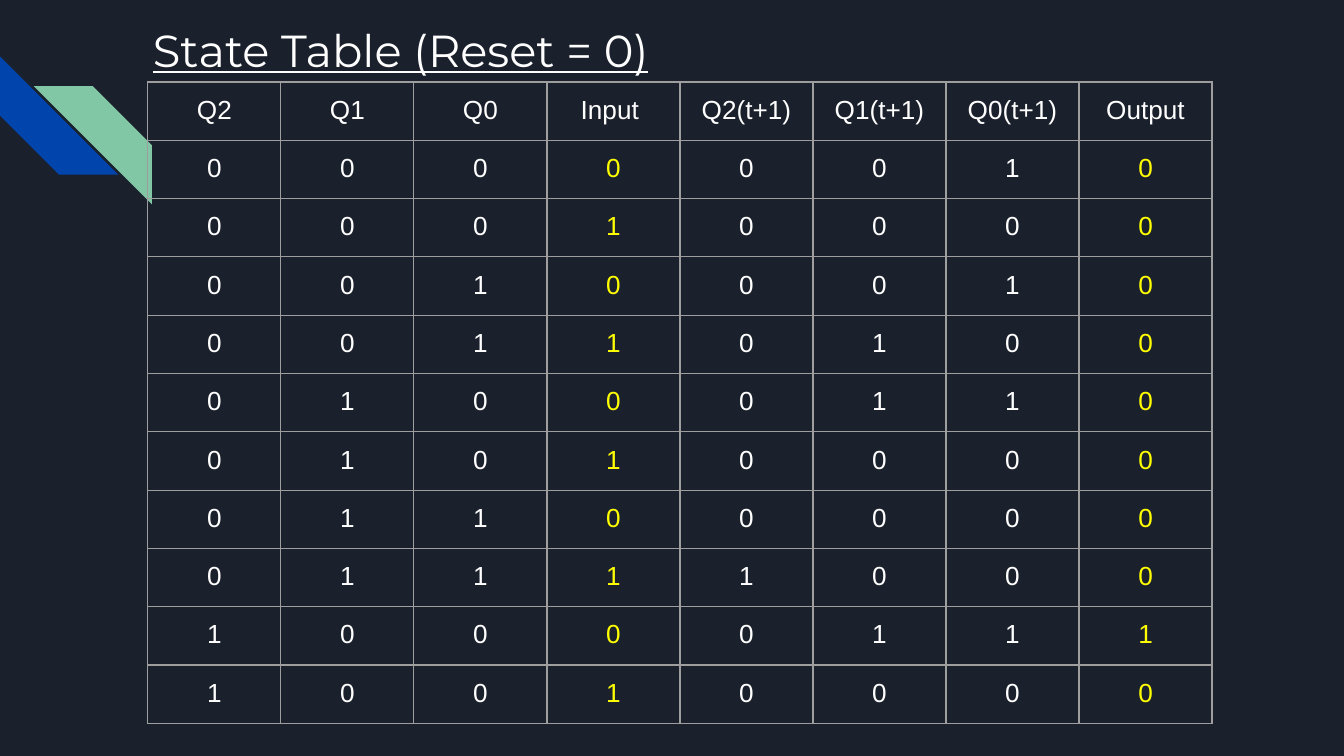
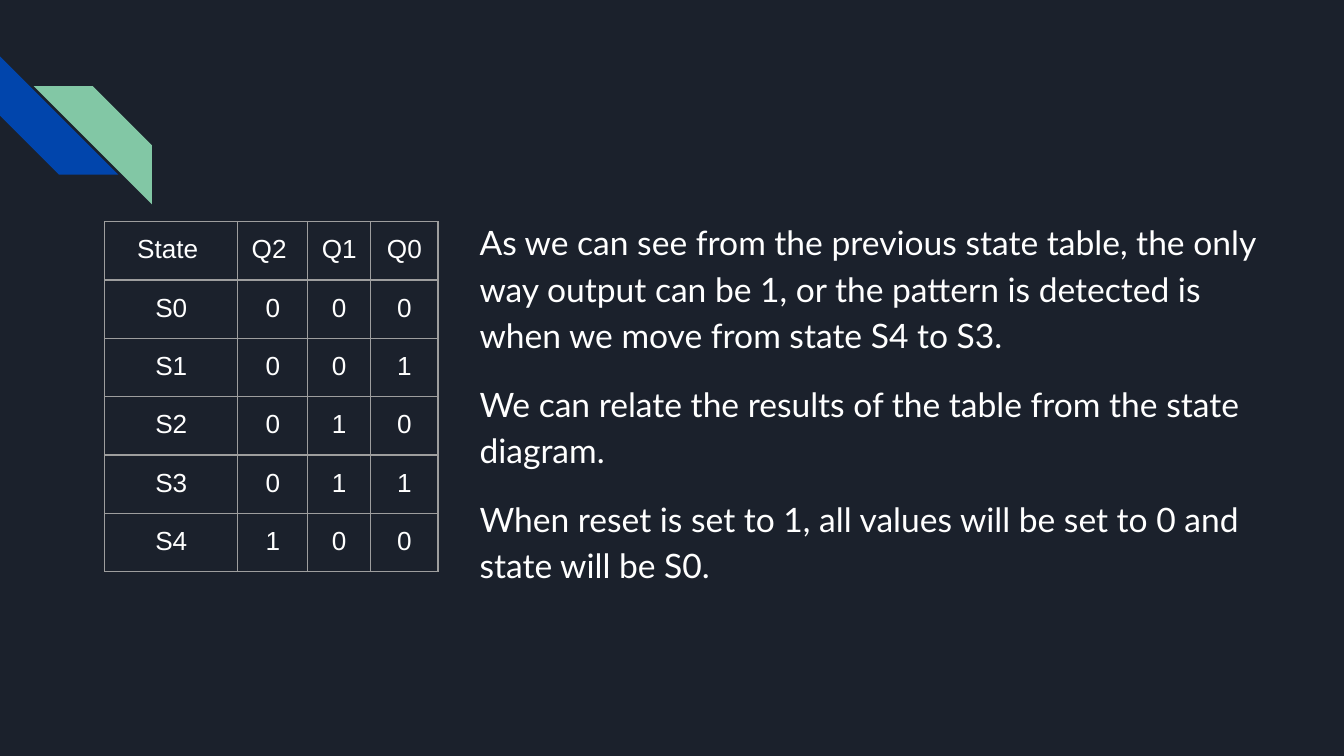
import pptx
import pptx.dml.color
import pptx.enum.shapes
import pptx.enum.text
import pptx.oxml
import pptx.oxml.ns
import pptx.util

COLOURS = {
    "background": "1B212C",
    "blue": "0145AC",
    "green": "82C7A5",
    "text": "FFFFFF",
    "highlight": "FFFF00",
    "border": "9E9E9E",
}
# Square grid: the slide is 100 columns wide and 56.25 rows high.
COLUMNS, ROWS = 100, 56.25
UNIT = pptx.util.Inches(10) / COLUMNS
INSET = 1
ROW_HEIGHT = 4.17
FRAME_ROW_HEIGHT = 4.33
BLANK_LAYOUT = 6

STATE_HEADER = ["Q2", "Q1", "Q0", "Input ", "Q2(t+1)", "Q1(t+1)", "Q0(t+1)", "Output"]
TRANSITIONS = [
    "00000010", "00010000", "00100010", "00110100", "01000110",
    "01010000", "01100000", "01111000", "10000111", "10010000",
]
CODE_HEADER = ["State ", "Q2 ", "Q1", "Q0"]
STATE_COUNT = 5
EXPLANATION = [
    "As we can see from the previous state table, the only way output can be 1, "
    "or the pattern is detected is when we move from state S4 to S3.",
    "We can relate the results of the table from the state diagram.",
    "When reset is set to 1, all values will be set to 0 and state will be S0.",
]


def grid(*counts):
    """Turn counts of grid units into slide lengths."""
    return [pptx.util.Emu(round(count * UNIT)) for count in counts]


def colour(name):
    return pptx.dml.color.RGBColor.from_string(COLOURS[name])


def style_paragraph(para, font, size, colour_name="text", underline=None):
    for span in para.runs:
        span.font.name = font
        span.font.size = pptx.util.Pt(size)
        span.font.color.rgb = colour(colour_name)
        span.font.underline = underline


def space_paragraph(para, lines=1.0, before=0, after=0):
    para.line_spacing = lines
    para.space_before = pptx.util.Pt(before)
    para.space_after = pptx.util.Pt(after)


def set_insets(holder):
    """Give a text frame or a table cell the shared inner margin."""
    for side in ("left", "top", "right", "bottom"):
        setattr(holder, f"margin_{side}", grid(INSET)[0])


def add_stripe(page, left, top, rotation, colour_name):
    stripe = page.shapes.add_shape(
        pptx.enum.shapes.MSO_SHAPE.DIAGONAL_STRIPE, *grid(left, top, 8.8, 8.8))
    stripe.rotation = rotation
    stripe.shadow.inherit = False
    stripe.fill.solid()
    stripe.fill.fore_color.rgb = colour(colour_name)
    stripe.line.fill.background()


def add_page(deck):
    """Add a slide with the pair of stripes at its left edge."""
    page = deck.slides.add_slide(deck.slide_layouts[BLANK_LAYOUT])
    add_stripe(page, 0, 4.2, 270, "blue")
    add_stripe(page, 2.5, 6.4, 90, "green")
    return page


def add_text(page, area, lines):
    box = page.shapes.add_textbox(*grid(*area))
    box.text_frame.word_wrap = True
    set_insets(box.text_frame)
    box.text_frame.text = "\n".join(lines)
    return box.text_frame.paragraphs


def add_title(page, title):
    for para in add_text(page, (10.4, 0.7, 77, 10), [title]):
        style_paragraph(para, "Montserrat", 24, underline=True)


def add_body(page, lines):
    paragraphs = add_text(page, (34.7, 15.1, 60.6, 32.3), lines)
    for para in paragraphs:
        style_paragraph(para, "Lato", 18)
        space_paragraph(para, 1.15, before=0 if para is paragraphs[0] else 12)
    paragraphs[-1].space_after = pptx.util.Pt(12)


def add_borders(cell):
    properties = cell._tc.get_or_add_tcPr()
    width = pptx.util.Pt(0.75)
    for position, side in enumerate(("lnL", "lnR", "lnT", "lnB")):
        border = pptx.oxml.parse_xml(
            f'<a:{side} {pptx.oxml.ns.nsdecls("a")} w="{width}"><a:solidFill>'
            f'<a:srgbClr val="{COLOURS["border"]}"/></a:solidFill></a:{side}>')
        properties.insert(position, border)


def fill_cell(cell, text, colour_name):
    cell.text_frame.text = text
    set_insets(cell)
    para = cell.text_frame.paragraphs[0]
    para.alignment = pptx.enum.text.PP_ALIGN.CENTER
    space_paragraph(para)
    style_paragraph(para, "Arial", 14, colour_name)
    cell.fill.background()
    add_borders(cell)


def add_grid_table(page, left, top, widths, records, highlighted=()):
    """Add a bordered table; highlighted names the columns with coloured values."""
    area = grid(left, top, sum(widths), FRAME_ROW_HEIGHT * len(records))
    frame = page.shapes.add_table(len(records), len(widths), *area)
    table = frame.table
    table.first_row = table.horz_banding = False
    for column, width in zip(table.columns, grid(*widths)):
        column.width = width
    for row_index, record in enumerate(records):
        table.rows[row_index].height = grid(ROW_HEIGHT)[0]
        for column_index, text in enumerate(record):
            is_marked = row_index > 0 and column_index in highlighted
            fill_cell(table.cell(row_index, column_index), text,
                      "highlight" if is_marked else "text")
    frame.height = area[-1]


def add_state_table_page(deck):
    page = add_page(deck)
    add_title(page, "State Table (Reset = 0)")
    marked = [STATE_HEADER.index("Input "), STATE_HEADER.index("Output")]
    add_grid_table(page, 11, 6.1, [9.9] * len(STATE_HEADER),
                   [STATE_HEADER, *TRANSITIONS], marked)


def add_explanation_page(deck):
    page = add_page(deck)
    add_body(page, EXPLANATION)
    codes = [[f"S{state}", *f"{state:03b}"] for state in range(STATE_COUNT)]
    add_grid_table(page, 7.8, 16.5, [9.9, 5.2, 4.7, 5], [CODE_HEADER, *codes])


def main():
    deck = pptx.Presentation()
    deck.slide_width, deck.slide_height = grid(COLUMNS, ROWS)
    backdrop = deck.slide_master.background.fill
    backdrop.solid()
    backdrop.fore_color.rgb = colour("background")
    add_state_table_page(deck)
    add_explanation_page(deck)
    deck.save("out.pptx")


if __name__ == "__main__":
    main()
